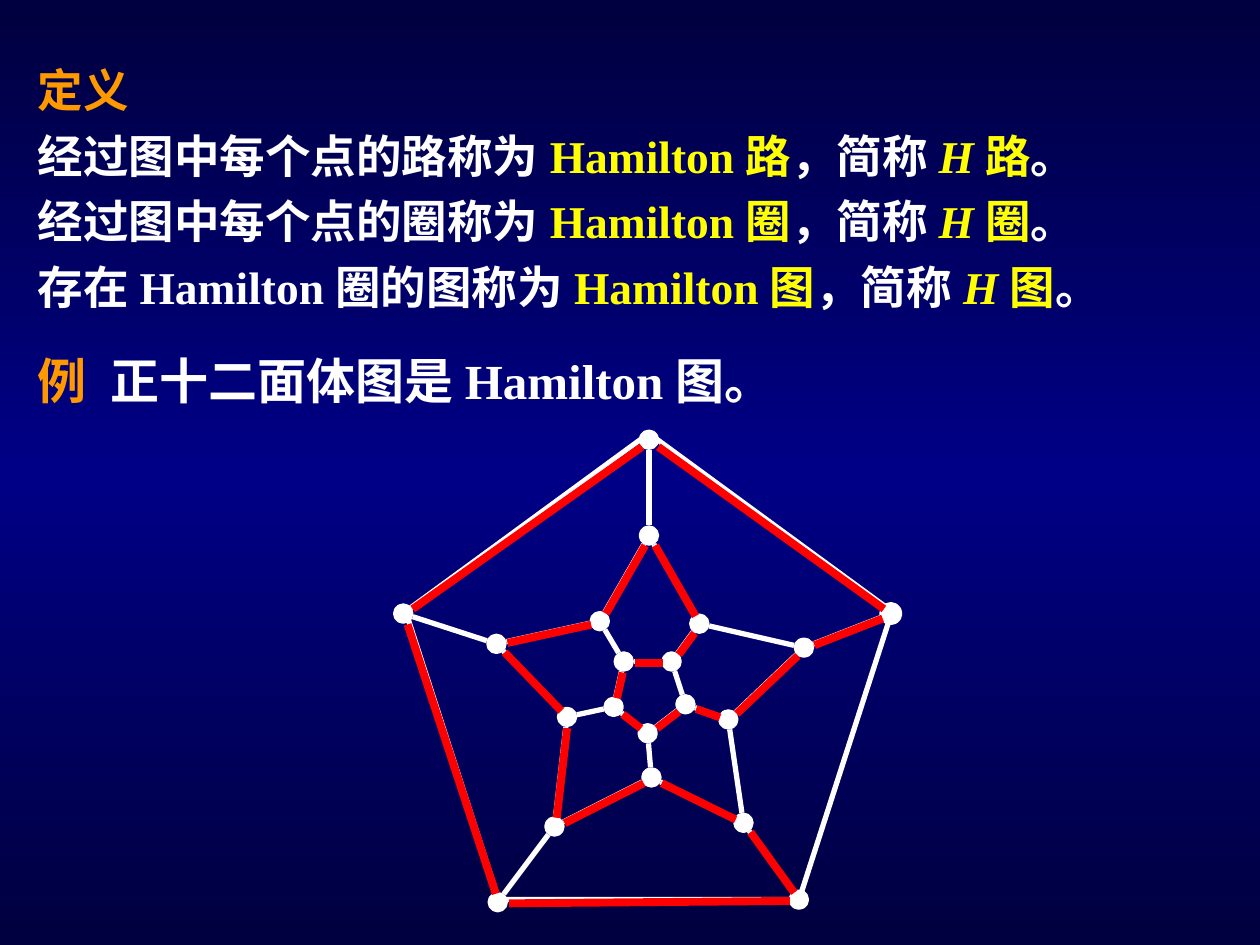
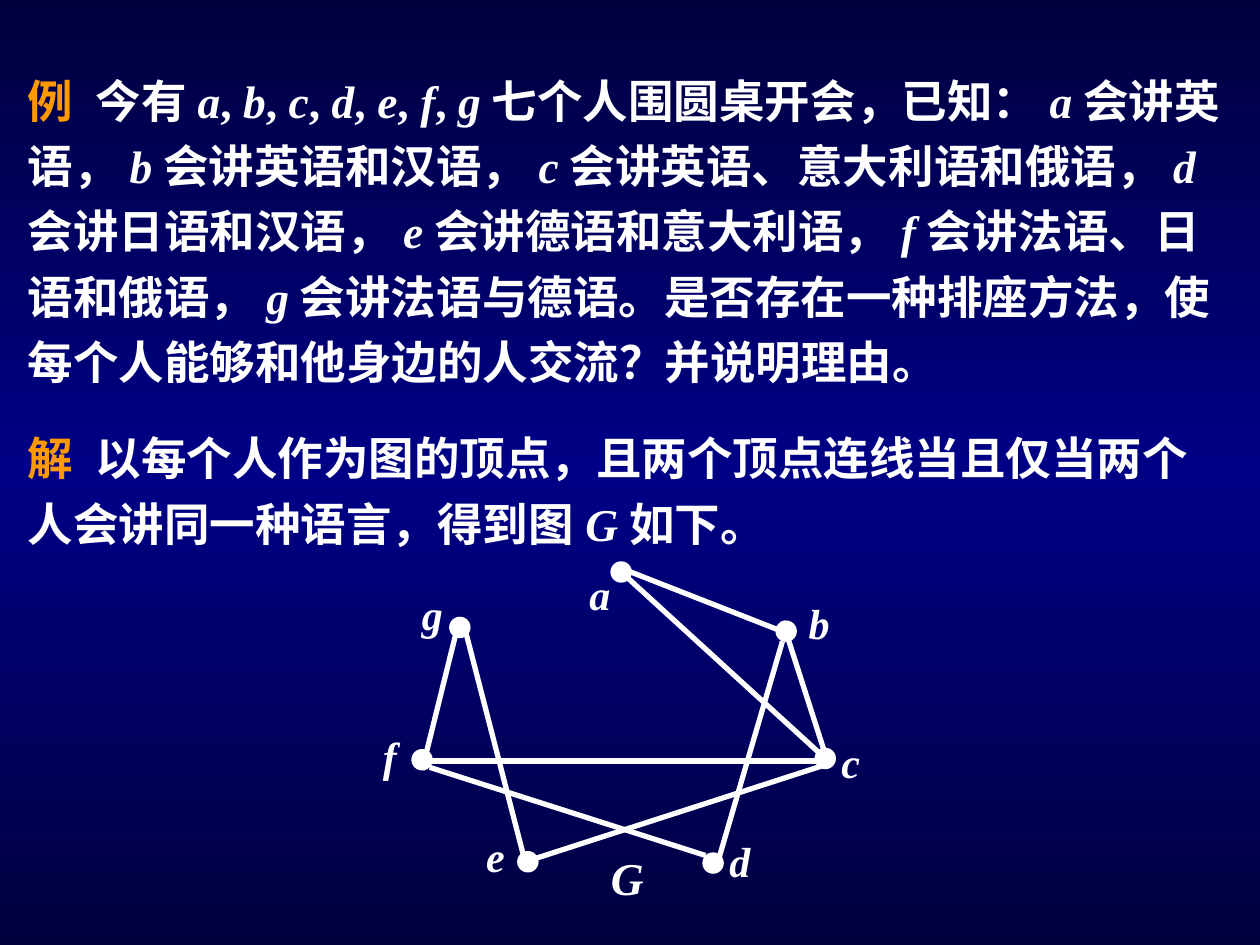
from copy import deepcopy
from dataclasses import dataclass
from math import hypot
from typing import NamedTuple

from pptx import Presentation
from pptx.dml.color import RGBColor
from pptx.enum.shapes import MSO_CONNECTOR, MSO_SHAPE
from pptx.oxml.ns import qn
from pptx.oxml.xmlchemy import OxmlElement
from pptx.util import Inches, Pt

OVAL = MSO_SHAPE.OVAL
PENTAGON = MSO_SHAPE.REGULAR_PENTAGON
STRAIGHT = MSO_CONNECTOR.STRAIGHT


# Theme
@dataclass(frozen=True)
class Theme:
    font: str = "Times New Roman"
    white: RGBColor = RGBColor(0xFF, 0xFF, 0xFF)
    red: RGBColor = RGBColor(0xFF, 0x00, 0x00)
    yellow: RGBColor = RGBColor(0xFF, 0xFF, 0x00)
    orange: RGBColor = RGBColor(0xFF, 0x99, 0x00)
    dark: RGBColor = RGBColor(0x00, 0x00, 0x3E)
    blue: RGBColor = RGBColor(0x00, 0x00, 0x86)
    body: int = 26
    large: int = 28
    label: int = 24
    thin: float = 3
    thick: float = 4.5


THEME = Theme()


class Point(NamedTuple):
    x: float
    y: float


class Bit(NamedTuple):
    text: str
    color: RGBColor = THEME.white
    slant: bool = False


class Box(NamedTuple):
    left: float
    top: float
    width: float
    height: float


class Edge(NamedTuple):
    start: Point
    end: Point


class Person(NamedTuple):
    name: str
    dot: Point
    label: Point


# Drawing
def paint_back(master) -> None:
    fill = master.background.fill
    fill.gradient()
    fill.gradient_angle = 90
    stops = master.element.find(".//" + qn("a:gsLst"))
    stops.append(deepcopy(stops[-1]))
    colors = (THEME.dark, THEME.blue, THEME.dark)
    for stop, place, color in zip(fill.gradient_stops, (0, 0.5, 1), colors):
        stop.position = place
        stop.color.rgb = color


def add_tab(para, place: float) -> None:
    tabs = OxmlElement("a:tabLst")
    tab = OxmlElement("a:tab")
    tab.set("pos", str(Inches(place)))
    tab.set("algn", "l")
    tabs.append(tab)
    para._p.get_or_add_pPr().append(tabs)


def add_text(shapes, box: Box, lines: list[list[Bit]], size: int = THEME.body,
             pitch: float = 1.0, tab: float = 0) -> None:
    frame = shapes.add_textbox(*map(Inches, box)).text_frame
    frame.word_wrap = True
    for row, bits in enumerate(lines):
        para = frame.add_paragraph() if row else frame.paragraphs[0]
        if tab:
            add_tab(para, tab)
        para.line_spacing = pitch
        for bit in bits:
            run = para.add_run()
            run.text = bit.text
            font = run.font
            font.name, font.size, font.bold = THEME.font, Pt(size), True
            font.italic = bit.slant
            font.color.rgb = bit.color


def add_form(shapes, kind, box: Box, weight: float, solid: bool = True) -> None:
    form = shapes.add_shape(kind, *map(Inches, box))
    form.shadow.inherit = False
    if solid:
        form.fill.solid()
        form.fill.fore_color.rgb = THEME.white
    else:
        form.fill.background()
    form.line.color.rgb = THEME.white
    form.line.width = Pt(weight)


def add_dot(shapes, spot: Point, size: float, weight: float) -> None:
    add_form(shapes, OVAL, Box(spot.x - size / 2, spot.y - size / 2, size, size), weight)


def add_edge(shapes, edge: Edge, color: RGBColor = THEME.white,
             weight: float = THEME.thin) -> None:
    line = shapes.add_connector(STRAIGHT, *map(Inches, (*edge.start, *edge.end)))
    line.line.color.rgb = color
    line.line.width = Pt(weight)
    line.element.spPr.append(OxmlElement("a:effectLst"))


# Helpers
def trim(start: Point, end: Point, gap: float = 0.08, shift: float = 0) -> Edge:
    """Stop an edge short of the dots at both ends."""
    wide, high = end.x - start.x, end.y - start.y
    part = gap / hypot(wide, high)
    dx, dy = wide * part, high * part
    return Edge(Point(start.x + dx + shift, start.y + dy + shift),
                Point(end.x - dx + shift, end.y - dy + shift))


def ring(spots: list[Point]) -> list[tuple[Point, Point]]:
    return list(zip(spots, spots[1:] + spots[:1]))


def mix(text: str) -> list[Bit]:
    """Slant every part between asterisks."""
    return [Bit(part, slant=i % 2 == 1)
            for i, part in enumerate(text.split("*")) if part]


def define(lead: str, noun: str) -> list[Bit]:
    return [Bit(lead), Bit("Hamilton" + noun, THEME.yellow), Bit("，简称"),
            Bit("H", THEME.yellow, True), Bit(noun, THEME.yellow), Bit("。")]


# Slide 1: vertices of the dodecahedron, clockwise from the top
OUTER = [Point(5.15, 3.49), Point(7.07, 4.87), Point(6.34, 7.14),
         Point(3.95, 7.16), Point(3.2, 4.87)]
MIDDLE = [Point(5.15, 4.25), Point(5.55, 4.95), Point(6.38, 5.14),
          Point(5.78, 5.71), Point(5.9, 6.53), Point(5.17, 6.17),
          Point(4.4, 6.56), Point(4.5, 5.69), Point(3.94, 5.11),
          Point(4.76, 4.93)]
INNER = [Point(5.33, 5.25), Point(5.44, 5.59), Point(5.14, 5.82),
         Point(4.87, 5.61), Point(4.95, 5.25)]
TOUR = [*OUTER[:2], *MIDDLE[2:4], *INNER[1:], INNER[0], *MIDDLE[1::-1],
        *MIDDLE[:3:-1], *OUTER[2:]]


def draw_solid(slide) -> None:
    add_text(slide.shapes, Box(0.2, 0.36, 9.21, 2.18),
             [[Bit("定义", THEME.orange)],
              define("经过图中每个点的路称为", "路"),
              define("经过图中每个点的圈称为", "圈"),
              define("存在Hamilton圈的图称为", "图")], pitch=1.2)
    add_text(slide.shapes, Box(0.2, 2.73, 6.85, 0.57),
             [[Bit("例", THEME.orange), Bit("\t正十二面体图是Hamilton图。")]],
             THEME.large, tab=0.58)

    # Graph
    graph = slide.shapes.add_group_shape().shapes
    add_form(graph, PENTAGON, Box(3.22, 3.44, 3.86, 3.7), THEME.thin, solid=False)
    for spot in OUTER + MIDDLE + INNER:
        add_dot(graph, spot, 0.12, THEME.thick if spot == OUTER[1] else THEME.thin)
    spokes = [*zip(OUTER, MIDDLE[::2]), *zip(MIDDLE[1::2], INNER)]
    for pair in spokes + ring(MIDDLE) + ring(INNER):
        add_edge(graph, trim(*pair))

    # Hamilton cycle
    for pair in ring(TOUR):
        add_edge(slide.shapes, trim(*pair, shift=0.01), THEME.red, THEME.thick)


# Slide 2: people and shared languages
PEOPLE = [
    Person("a", Point(4.93, 4.54), Point(4.58, 4.46)),
    Person("b", Point(6.24, 5.01), Point(6.32, 4.69)),
    Person("c", Point(6.55, 6.02), Point(6.58, 5.8)),
    Person("d", Point(5.66, 6.85), Point(5.69, 6.58)),
    Person("e", Point(4.19, 6.84), Point(3.76, 6.54)),
    Person("f", Point(3.35, 6.03), Point(2.94, 5.75)),
    Person("g", Point(3.65, 4.98), Point(3.25, 4.62)),
]
LINKS = [
    Edge(Point(4.93, 4.51), Point(6.18, 5)),
    Edge(Point(6.21, 4.93), Point(6.58, 6.08)),
    Edge(Point(4.92, 4.53), Point(6.54, 6.01)),
    Edge(Point(6.55, 6.04), Point(3.41, 6.04)),
    Edge(Point(6.52, 6.08), Point(4.23, 6.82)),
    Edge(Point(3.65, 4.9), Point(3.35, 6.11)),
    Edge(Point(3.7, 5.03), Point(4.16, 6.81)),
    Edge(Point(3.41, 6.09), Point(5.6, 6.79)),
    Edge(Point(6.21, 5.09), Point(5.68, 6.9)),
]
TASK = ("\t今有*a*, *b*, *c*, *d*, *e*, *f*, *g*七个人围圆桌开会，已知："
        "*a*会讲英语，*b*会讲英语和汉语，*c*会讲英语、意大利语和俄语，"
        "*d*会讲日语和汉语，*e*会讲德语和意大利语，*f*会讲法语、日语和俄语，"
        "*g*会讲法语与德语。是否存在一种排座方法，"
        "使每个人能够和他身边的人交流？并说明理由。")
ANSWER = ("\t以每个人作为图的顶点，且两个顶点连线当且仅当"
          "两个人会讲同一种语言，得到图*G*如下。")


def draw_table(slide) -> None:
    for head, text, top, height in (("例", TASK, 0.44, 2.7),
                                    ("解", ANSWER, 3.28, 1.14)):
        add_text(slide.shapes, Box(0.12, top, 9.69, height),
                 [[Bit(head, THEME.orange), *mix(text)]], pitch=1.2, tab=0.54)

    # Graph
    graph = slide.shapes.add_group_shape().shapes
    for person in PEOPLE:
        add_dot(graph, person.dot, 0.16, 0.75)
    for edge in LINKS:
        add_edge(graph, edge)
    for person in PEOPLE:
        add_text(graph, Box(*person.label, 0.31, 0.5),
                 [[Bit(person.name, slant=True)]], THEME.label)
    add_text(graph, Box(4.75, 6.7, 0.52, 0.54), [[Bit("G", slant=True)]])


def main() -> None:
    deck = Presentation()
    deck.slide_width, deck.slide_height = Inches(10), Inches(7.5)
    paint_back(deck.slide_master)
    blank = deck.slide_layouts[6]
    for draw in (draw_solid, draw_table):
        draw(deck.slides.add_slide(blank))
    deck.save("out.pptx")


if __name__ == "__main__":
    main()
